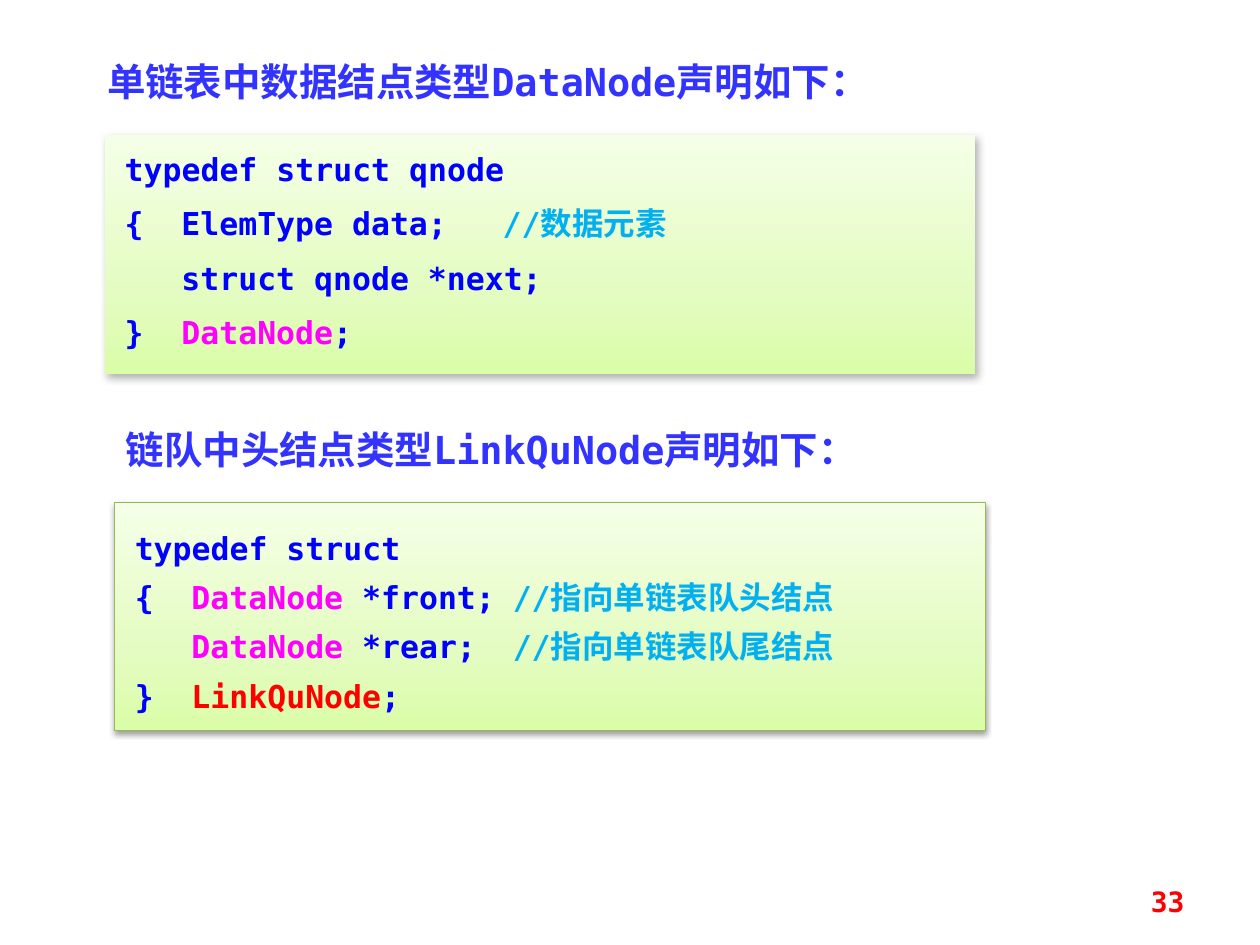
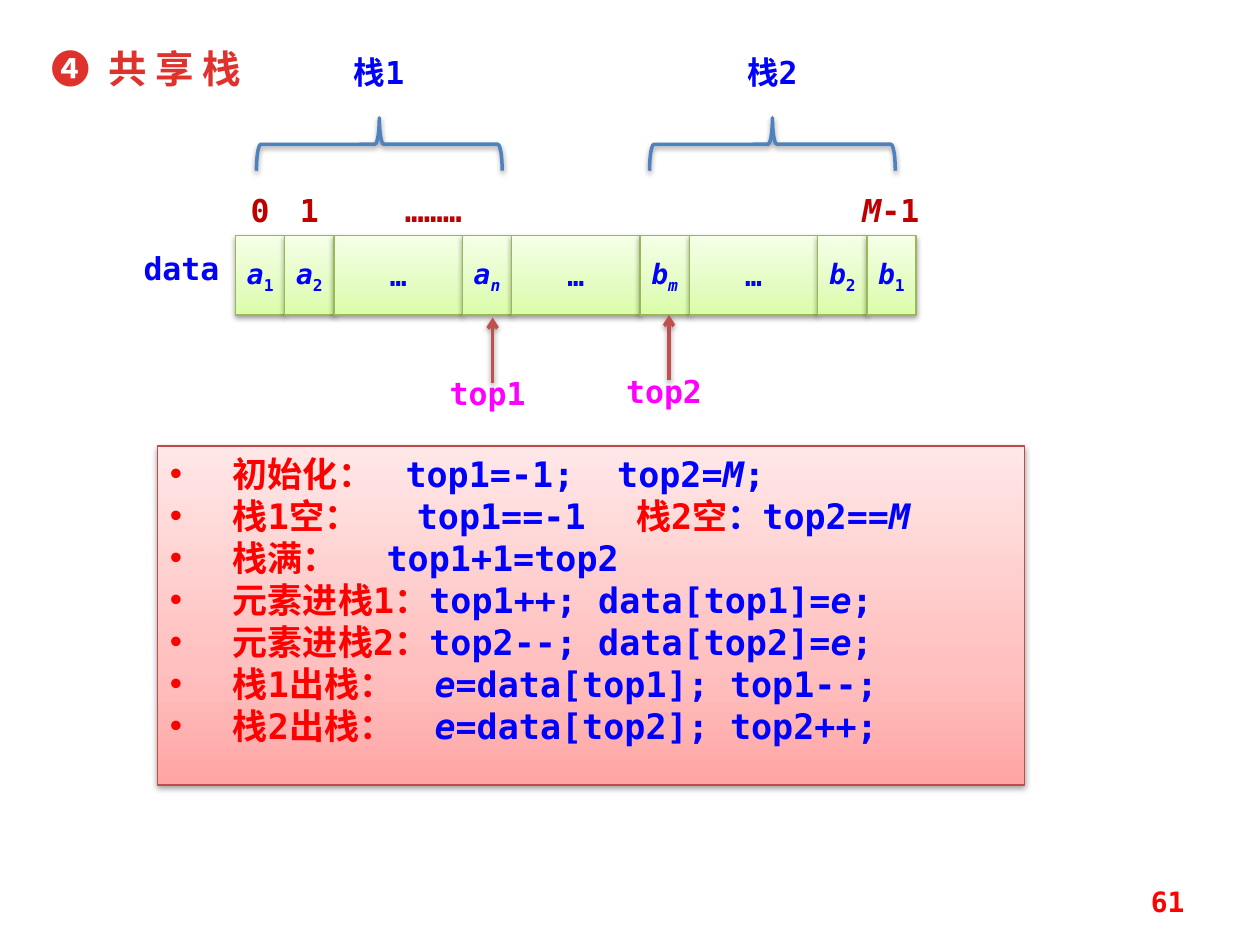
from dataclasses import dataclass
from lxml import etree
from pptx import Presentation, util as u
from pptx.dml.color import RGBColor
from pptx.enum import shapes, text
from pptx.oxml.ns import qn

AL = text.PP_ALIGN
MID = text.MSO_ANCHOR.MIDDLE
TOP = text.MSO_ANCHOR.TOP
SHAPE = shapes.MSO_SHAPE


@dataclass(frozen=True)
class Theme:
    face: str = "DejaVu Sans Mono"
    head: str = "3333FF"
    topic: str = "E0322D"
    code: str = "0000FF"
    note: str = "00B0F0"
    pink: str = "FF00FF"
    red: str = "FF0000"
    dark: str = "C00000"
    brace: str = "4F81BD"
    arrow: str = "C0504D"
    leaf: str = "98B955"
    rose: str = "BF4C48"
    green: tuple = ("DAFDA7", "E4FCC2", "F5FFE7")
    blush: tuple = ("FFA6A5", "FFC0BF", "FFE7E7")
    title: int = 22
    list: int = 20
    body: int = 18
    small: int = 16
    soft: tuple = (38, 3.15, 1.57, 90)
    cast: tuple = (30, 4.5, 2.6, 53)


T = Theme()


def add(node, tag, **attrs):
    return etree.SubElement(node, qn(tag), {k: str(v) for k, v in attrs.items()})


class Deck:
    cols, rows = 100, 75

    def __init__(self):
        self.prs = Presentation()
        self.prs.slide_width, self.prs.slide_height = u.Inches(10), u.Inches(7.5)

    def start(self, page):
        self.slide = self.prs.slides.add_slide(self.prs.slide_layouts[5])
        self.label((71.7, 69.5, 23.3, 4), [(page, T.red)], T.small,
                   AL.RIGHT, MID, (0.1, 0.05))

    def place(self, x, y, w, h):
        dx = self.prs.slide_width / self.cols
        dy = self.prs.slide_height / self.rows
        return [u.Emu(round(v)) for v in (x * dx, y * dy, w * dx, h * dy)]

    def prose(self, shape, paras, size, align=AL.LEFT, anchor=TOP,
              pad=(0.1, 0.05), tabs=(), gap=0, lead=None, bullet=False):
        frame = shape.text_frame
        frame.word_wrap = True
        frame.auto_size = text.MSO_AUTO_SIZE.NONE
        frame.vertical_anchor = anchor
        frame.margin_left = frame.margin_right = u.Inches(pad[0])
        frame.margin_top = frame.margin_bottom = u.Inches(pad[1])
        for n, runs in enumerate(paras):
            para = frame.add_paragraph() if n else frame.paragraphs[0]
            para.alignment = align
            para.space_before = u.Pt(gap if n else 0)
            if lead:
                para.line_spacing = lead
            props = para._p.get_or_add_pPr()
            if bullet:
                props.set("marL", str(u.Inches(0.5)))
                props.set("indent", str(-u.Inches(0.5)))
                add(props, "a:buFont", typeface="Arial")
                add(props, "a:buChar", char="•")
            stops = tabs[n] if bullet else tabs
            if stops:
                group = add(props, "a:tabLst")
                for stop in stops:
                    add(group, "a:tab", pos=u.Inches(stop), algn="l")
            self.fill(para, runs, size)

    def fill(self, para, runs, size):
        font = para.font
        font.name, font.size, font.bold = T.face, u.Pt(size), True
        base = runs[0][1]
        font.color.rgb = RGBColor.from_string(base)
        for words, tint, *style in runs:
            run = para.add_run()
            run.text = words
            if tint != base:
                run.font.color.rgb = RGBColor.from_string(tint)
            if "i" in style:
                run.font.italic = True
            if "sub" in style:
                run._r.get_or_add_rPr().set("baseline", "-25000")

    def title(self, spot, words, tint, pad=(0.1, 0.05), tabs=()):
        shape = self.slide.shapes.title
        shape.left, shape.top, shape.width, shape.height = self.place(*spot)
        self.prose(shape, [[(words, tint)]], T.title, pad=pad, tabs=tabs)

    def label(self, spot, runs, size=T.body, align=AL.CENTER, anchor=TOP,
              pad=(0, 0)):
        shape = self.slide.shapes.add_textbox(*self.place(*spot))
        self.prose(shape, [runs], size, align, anchor, pad)

    def shade(self, shape, look):
        props = shape._element.spPr
        glow = props.find(qn("a:effectLst"))
        if glow is None:
            glow = add(props, "a:effectLst")
        alpha, blur, dist, angle = look
        cast = add(glow, "a:outerShdw", blurRad=u.Pt(blur), dist=u.Pt(dist),
                   dir=angle * 60000, rotWithShape=0)
        tint = add(cast, "a:srgbClr", val="000000")
        add(tint, "a:alpha", val=alpha * 1000)

    def stroke(self, shape, tint, width):
        shape.line.color.rgb = RGBColor.from_string(tint)
        shape.line.width = u.Pt(width)

    def panel(self, spot, paras, size, tints=T.green, edge=T.leaf,
              look=T.soft, **style):
        shape = self.slide.shapes.add_shape(SHAPE.RECTANGLE, *self.place(*spot))
        shape.fill.gradient()
        shape.fill.gradient_angle = 90
        stops = shape._element.spPr.find(".//" + qn("a:gsLst"))
        stops.clear()
        for share, tint in zip((0, 35, 100), tints):
            add(add(stops, "a:gs", pos=share * 1000), "a:srgbClr", val=tint)
        if edge:
            self.stroke(shape, edge, 0.75)
        else:
            shape.line.fill.background()
        shape.shadow.inherit = False
        self.shade(shape, look)
        self.prose(shape, paras, size, **style)

    def brace(self, x, name):
        shape = self.slide.shapes.add_shape(
            SHAPE.LEFT_BRACE, *self.place(x, 1.7, 4.2, 19.5))
        shape.rotation = 90
        shape.fill.background()
        self.stroke(shape, T.brace, 2)
        shape.shadow.inherit = False
        self.shade(shape, T.soft)
        self.label((x - 1.4, 4.2, 7, 3.3), [(name, T.code)])

    def pointer(self, x, y, name):
        ends = self.place(x, y + 5.2, x, y)
        line = self.slide.shapes.add_connector(shapes.MSO_CONNECTOR.STRAIGHT, *ends)
        self.stroke(line, T.arrow, 2)
        add(line._element.spPr.find(qn("a:ln")), "a:tailEnd", type="arrow")
        self.shade(line, T.soft)
        self.label((x - 3.9, y + 4.5, 7, 3.3), [(name, T.pink)])


def nodes(deck):
    deck.start("33")
    deck.title((7.5, 4.1, 68.5, 4.7), "单链表中数据结点类型DataNode声明如下：", T.head)
    code = dict(pad=(0.16, 0.12), tabs=(0.45, 3))
    deck.panel((8.3, 10.7, 69.1, 19), [
        [("typedef struct qnode", T.code)],
        [("{\tElemType data;\t", T.code), ("//数据元素", T.note)],
        [("\tstruct qnode *next;", T.code)],
        [("}\t", T.code), ("DataNode", T.pink), (";", T.code)],
    ], T.body, edge=None, look=T.cast, gap=9.5, **code)
    deck.label((9, 33.3, 65.4, 4.7), [("链队中头结点类型LinkQuNode声明如下：", T.head)],
               T.title, AL.LEFT, pad=(0.1, 0.05))
    deck.panel((9.1, 39.9, 69.1, 18.1), [
        [("typedef struct", T.code)],
        [("{\t", T.code), ("DataNode ", T.pink), ("*front;\t", T.code),
         ("//指向单链表队头结点", T.note)],
        [("\tDataNode ", T.pink), ("*rear;\t", T.code),
         ("//指向单链表队尾结点", T.note)],
        [("}\t", T.code), ("LinkQuNode", T.red), (";", T.code)],
    ], T.body, lead=1.3, **code)


def stacks(deck):
    deck.start("61")
    deck.title((2.3, 3.1, 23.4, 4.7), "❹\t共 享 栈", T.topic, (0.18, 0.05), (0.45,))
    x = 18.7
    for name in ("a1", "a2", "…", "an", "…", "bm", "…", "b2", "b1"):
        wide = 10.2 if name == "…" else 3.9
        runs = [(name, T.code)]
        if name != "…":
            slant = () if name[1].isdigit() else ("i",)
            runs = [(name[0], T.code, "i"), (name[1], T.code, "sub", *slant)]
        deck.panel((x, 18.7, wide, 6.3), [runs], T.small, align=AL.CENTER,
                   anchor=MID, pad=(0, 0.05))
        x += wide
    for left, wide, mark in ((19.5, 2.3, "0"), (23.4, 2.3, "1"), (29.7, 9.4, "………")):
        deck.label((left, 15.2, wide, 3.3), [(mark, T.dark)])
    deck.label((67.2, 15.2, 7, 3.3), [("M", T.dark, "i"), ("-1", T.dark)])
    deck.label((10.9, 19.8, 7, 3.3), [("data", T.code)])
    for left, name in ((28, "栈1"), (59.2, "栈2")):
        deck.brace(left, name)
    for left, top, name in ((39.1, 25.2, "top1"), (53.1, 25, "top2")):
        deck.pointer(left, top, name)
    rules = [
        [("初始化：\t", T.red), ("top1=-1;\ttop2=", T.code), ("M", T.code, "i"),
         (";", T.code)],
        [("栈1空：\t", T.red), ("top1==-1\t", T.code), ("栈2空", T.red),
         ("：top2==", T.code), ("M", T.code, "i")],
        [("栈满：\t", T.red), ("top1+1=top2", T.code)],
    ]
    for n, step in ((1, "++"), (2, "--")):
        rules.append([(f"元素进栈{n}：", T.red),
                      (f"top{n}{step}; data[top{n}]=", T.code),
                      ("e", T.code, "i"), (";", T.code)])
    for n, step in ((1, "--"), (2, "++")):
        rules.append([(f"栈{n}出栈：\t", T.red), ("e", T.code, "i"),
                      (f"=data[top{n}]; top{n}{step};", T.code)])
    stops = ((1.87, 3.55), (1.96, 3.7), (1.72,), (), (), (2.1,), (2.1,))
    deck.panel((12.5, 35.4, 68.8, 26.9), rules, T.list, T.blush, T.rose,
               bullet=True, tabs=stops)


def main():
    deck = Deck()
    nodes(deck)
    stacks(deck)
    deck.prs.save("out.pptx")


if __name__ == "__main__":
    main()
